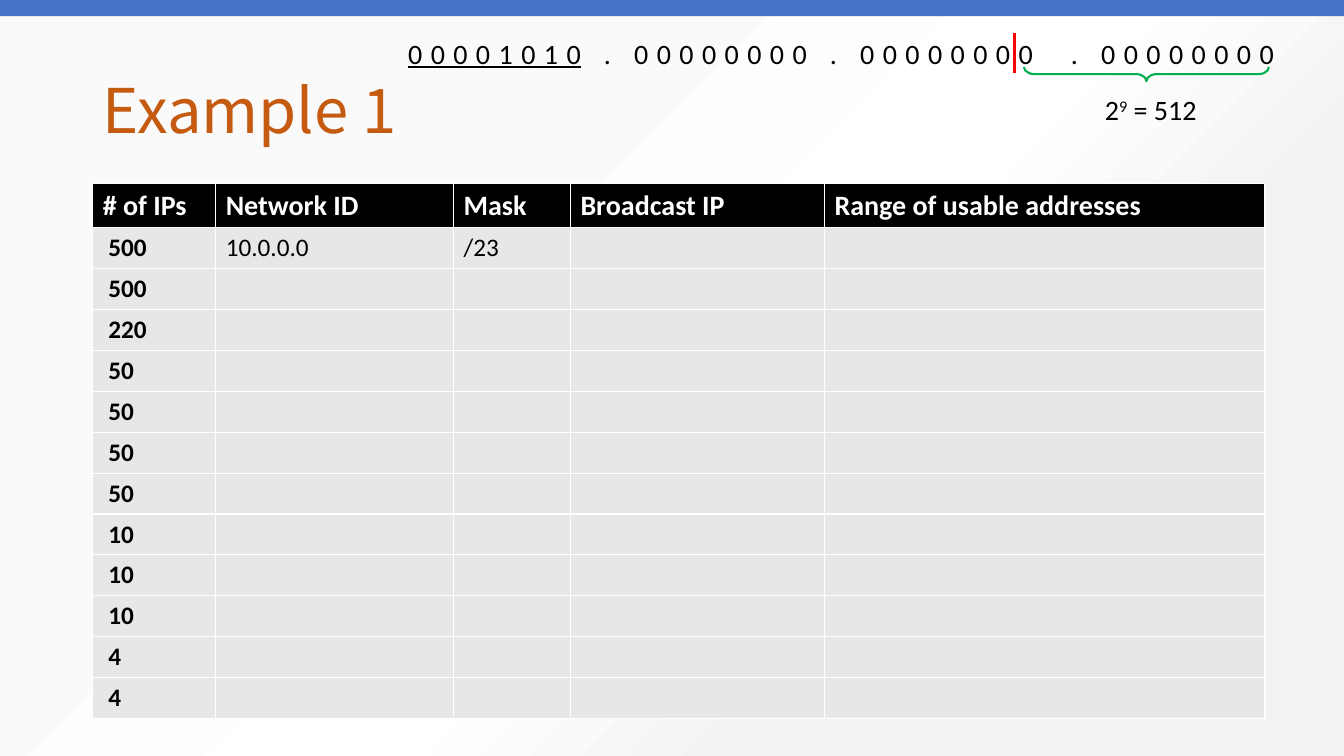
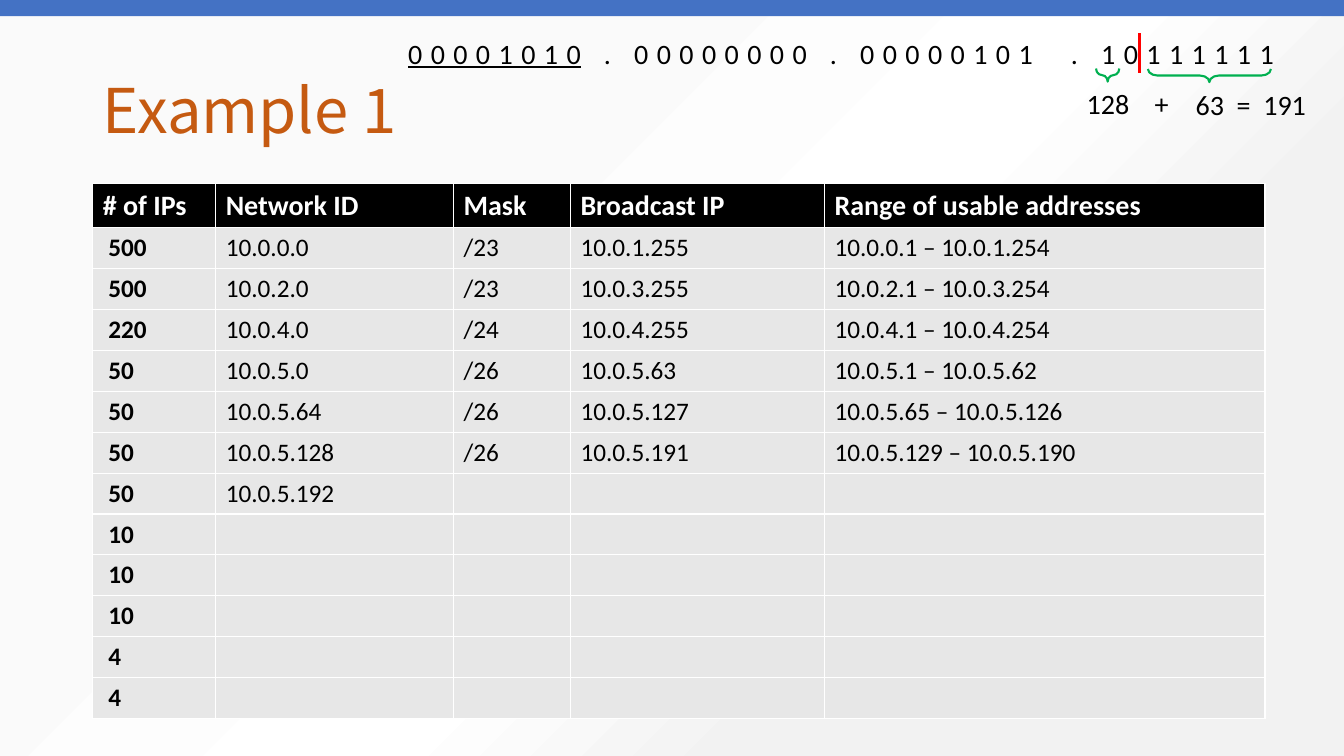
from lxml import etree
from pptx import Presentation
from pptx.dml.color import RGBColor
from pptx.enum.shapes import MSO_CONNECTOR, MSO_SHAPE
from pptx.enum.text import MSO_ANCHOR, MSO_AUTO_SIZE, PP_ALIGN
from pptx.oxml.ns import qn
from pptx.util import Inches, Pt

WIDTH, HEIGHT = Inches(13.33), Inches(7.5)
STRAIGHT = MSO_CONNECTOR.STRAIGHT
RECTANGLE, BRACE = MSO_SHAPE.RECTANGLE, MSO_SHAPE.RIGHT_BRACE
MIDDLE, LEFT = MSO_ANCHOR.MIDDLE, PP_ALIGN.LEFT
FIXED, GROW = MSO_AUTO_SIZE.NONE, MSO_AUTO_SIZE.SHAPE_TO_FIT_TEXT

BODY_FONT, TITLE_FONT = "Calibri", "Noto Sans CJK SC"
BLACK, WHITE, GREY = "000000", "FFFFFF", "E7E7E7"
ORANGE, BLUE, RED, GREEN = "C55A11", "4472C4", "FF0000", "00B050"
BACKGROUND_STOPS = [(29, "FAFAFA", 100), (54, WHITE, 9), (71, "F2F2F2", 100), (87, "F2F2F2", 100)]

TITLE_BOX = (6.9, 5.33, 86.25, 19.33)
BAND_BOX = (0, 0, 100, 2.13)
TABLE_BOX = (6.9, 24.27, 87.23, 70.79)
BITS_BOX = (29.63, 4.13, 66.54, 5.87)
COLUMN_SHARES = [9.15, 17.7, 8.7, 18.9, 32.78]
HEADER_SHARE, ROW_SHARE = 5.87, 5.41
DIVIDER_TOP, DIVIDER_BOTTOM = 4.4, 9.6

HEADINGS = ["# of IPs", "Network ID", "Mask", "Broadcast IP", "Range of usable addresses"]
HOST_COUNTS = [500, 500, 220, 50, 50, 50, 50, 10, 10, 10, 4, 4]
FIRST_STEP = [("10.0.0.0", "/23")]
SIXTH_STEP = [
    ("10.0.0.0", "/23", "10.0.1.255", "10.0.0.1 – 10.0.1.254"),
    ("10.0.2.0", "/23", "10.0.3.255", "10.0.2.1 – 10.0.3.254"),
    ("10.0.4.0", "/24", "10.0.4.255", "10.0.4.1 – 10.0.4.254"),
    ("10.0.5.0", "/26", "10.0.5.63", "10.0.5.1 – 10.0.5.62"),
    ("10.0.5.64", "/26", "10.0.5.127", "10.0.5.65 – 10.0.5.126"),
    ("10.0.5.128", "/26", "10.0.5.191", "10.0.5.129 – 10.0.5.190"),
    ("10.0.5.192",),
]


def across(share):
    return int(WIDTH * share / 100)


def down(share):
    return int(HEIGHT * share / 100)


def place(box):
    left, top, width, height = box
    return across(left), down(top), across(width), down(height)


def color(value):
    return RGBColor.from_string(value)


def add_span(para, text, size=20, font=BODY_FONT, fill=BLACK, bold=False,
             underline=False, spacing=0, raised=0):
    span = para.add_run()
    span.text = text
    span.font.size, span.font.name = Pt(size), font
    span.font.bold, span.font.underline = bold, underline
    span.font.color.rgb = color(fill)
    properties = span.font._element
    if spacing:
        properties.set("spc", str(int(spacing * 100)))
    if raised:
        properties.set("baseline", str(raised * 1000))


def add_text(page, box, pieces, wrap=False):
    shape = page.shapes.add_textbox(*place(box))
    frame = shape.text_frame
    frame.word_wrap, frame.auto_size = wrap, GROW
    for text, style in pieces:
        add_span(frame.paragraphs[0], text, **style)


def add_title(page, text):
    title = page.shapes.title
    title.left, title.top, title.width, title.height = place(TITLE_BOX)
    frame = title.text_frame
    frame.vertical_anchor, frame.auto_size = MIDDLE, FIXED
    para = frame.paragraphs[0]
    para.alignment, para.line_spacing = LEFT, 0.9
    add_span(para, text, size=44, font=TITLE_FONT, fill=ORANGE)


def add_band(page):
    band = page.shapes.add_shape(RECTANGLE, *place(BAND_BOX))
    band.shadow.inherit = False
    band.fill.solid()
    band.fill.fore_color.rgb = color(BLUE)
    band.line.fill.background()


def add_brace(page, box):
    left, top, span, depth = place(box)
    shift = (span - depth) // 2
    brace = page.shapes.add_shape(BRACE, left + shift, top - shift, depth, span)
    brace.rotation = 90
    brace.adjustments[0], brace.adjustments[1] = 0.73, 0.5
    brace.shadow.inherit = False
    brace.fill.background()
    brace.line.color.rgb, brace.line.width = color(GREEN), Pt(1.5)


def add_divider(page, left):
    line = page.shapes.add_connector(
        STRAIGHT, across(left), down(DIVIDER_TOP), across(left), down(DIVIDER_BOTTOM))
    line.line.color.rgb, line.line.width = color(RED), Pt(2.5)
    etree.SubElement(line._element.spPr, qn("a:effectLst"))


def add_borders(cell):
    properties = cell._tc.get_or_add_tcPr()
    for position, side in enumerate(["lnL", "lnR", "lnT", "lnB"]):
        border = etree.Element(qn("a:" + side), w=str(Pt(1)))
        fill = etree.SubElement(border, qn("a:solidFill"))
        etree.SubElement(fill, qn("a:srgbClr"), val=WHITE)
        properties.insert(position, border)


def fill_cell(cell, text, background, **style):
    cell.fill.solid()
    cell.fill.fore_color.rgb = color(background)
    cell.vertical_anchor = MIDDLE
    add_borders(cell)
    if text:
        add_span(cell.text_frame.paragraphs[0], text, **style)


def add_subnets(page, subnets):
    table = page.shapes.add_table(
        len(HOST_COUNTS) + 1, len(HEADINGS), *place(TABLE_BOX)).table
    table.horz_banding = False
    for column, share in zip(table.columns, COLUMN_SHARES):
        column.width = across(share)
    for number, row in enumerate(table.rows):
        row.height = down(ROW_SHARE if number else HEADER_SHARE)
    for column, heading in enumerate(HEADINGS):
        fill_cell(table.cell(0, column), heading, BLACK, fill=WHITE, bold=True)
    for number, count in enumerate(HOST_COUNTS):
        found = subnets[number] if number < len(subnets) else ()
        values = [str(count), *found]
        for column in range(len(HEADINGS)):
            text = values[column] if column < len(values) else ""
            cell = table.cell(number + 1, column)
            fill_cell(cell, text, GREY, size=18, bold=column == 0)
        table.cell(number + 1, 0).margin_left = across(1.17)


def add_bits(page, third, fourth):
    add_text(page, BITS_BOX, [
        ("00001010", {"underline": True, "spacing": 6}),
        (" . 00000000 . " + third, {"spacing": 6}),
        (" ", {"spacing": 16.5}),
        (". " + fourth, {"spacing": 6}),
    ], wrap=True)


def set_background(deck):
    master = deck.slide_master
    master.background.fill.solid()
    solid = master._element.find(".//" + qn("p:bgPr")).find(qn("a:solidFill"))
    gradient = etree.Element(qn("a:gradFill"), rotWithShape="1")
    stops = etree.SubElement(gradient, qn("a:gsLst"))
    for position, value, opacity in BACKGROUND_STOPS:
        stop = etree.SubElement(stops, qn("a:gs"), pos=str(position * 1000))
        tint = etree.SubElement(stop, qn("a:srgbClr"), val=value)
        if opacity < 100:
            etree.SubElement(tint, qn("a:alpha"), val=str(opacity * 1000))
    circle = etree.SubElement(gradient, qn("a:path"), path="circle")
    etree.SubElement(circle, qn("a:fillToRect"), r="100000", b="100000")
    solid.getparent().replace(solid, gradient)


def add_example(deck, subnets, third, fourth, divider, braces):
    page = deck.slides.add_slide(deck.slide_layouts[5])
    add_title(page, "Example 1")
    add_band(page)
    add_subnets(page, subnets)
    add_bits(page, third, fourth)
    add_divider(page, divider)
    for box in braces:
        add_brace(page, box)
    return page


def main():
    deck = Presentation()
    deck.slide_width, deck.slide_height = WIDTH, HEIGHT
    set_background(deck)

    page = add_example(deck, FIRST_STEP, "00000000", "00000000", 75.47,
                       [(76.18, 8.87, 18.23, 1.87)])
    add_text(page, (81.47, 11.6, 8.48, 5.87),
             [("2", {}), ("9", {"raised": 30}), (" = 512", {})])

    page = add_example(deck, SIXTH_STEP, "00000101", "10111111", 84.77,
                       [(85.41, 9.13, 9.15, 1.73), (81.55, 9.07, 1.73, 1.73)])
    gap = (" ", {"spacing": 4.5})
    add_text(page, (88.22, 10.93, 9.75, 5.87),
             [("63", {}), gap, ("=", {}), gap, ("191", {})])
    add_text(page, (80.12, 10.8, 7.65, 5.87),
             [("128", {}), (" ", {"spacing": 13.5}), ("+", {})])

    deck.save("out.pptx")


if __name__ == "__main__":
    main()
